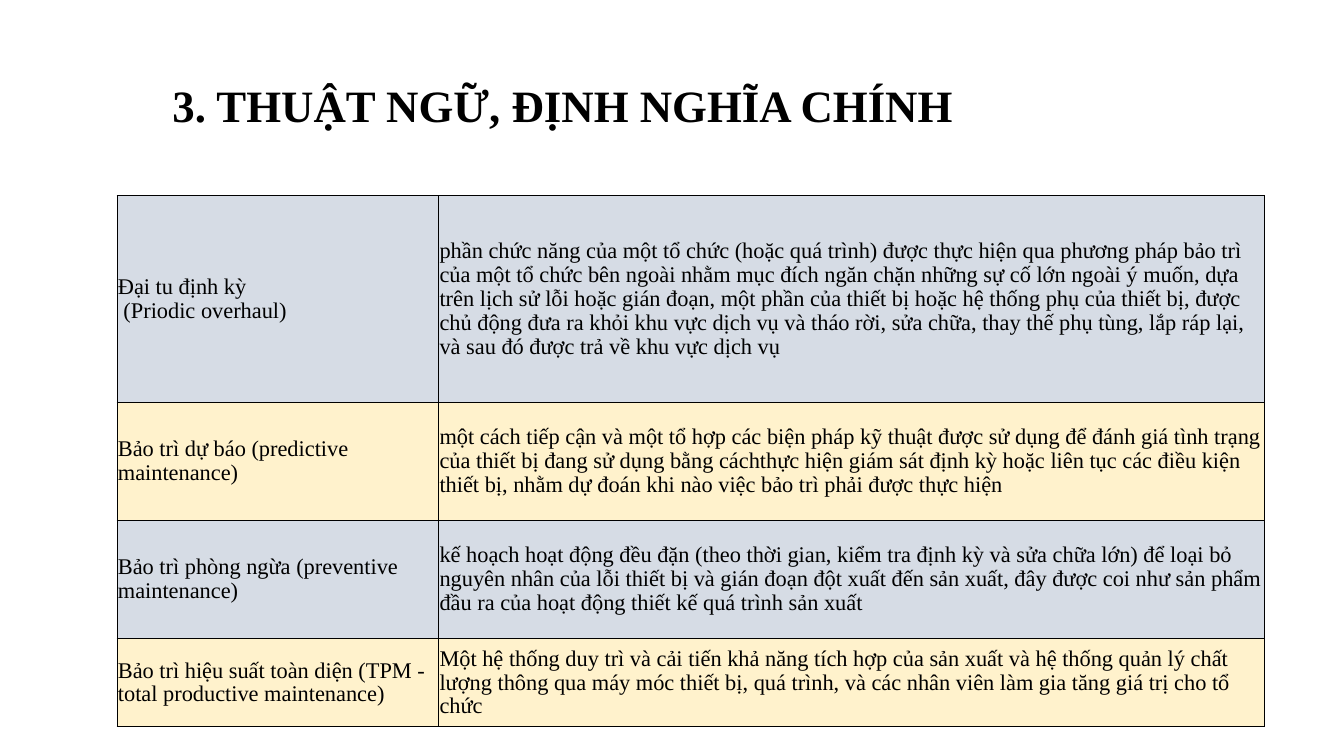
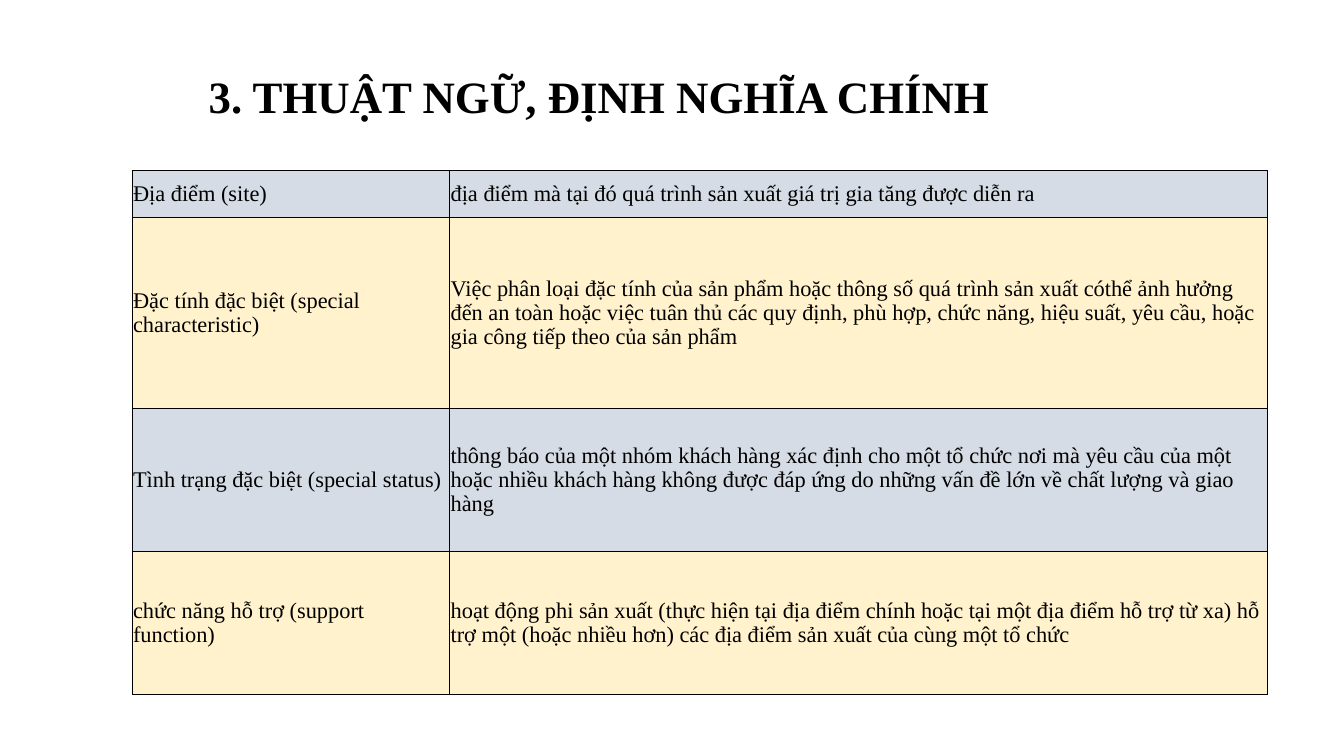
from dataclasses import dataclass

from lxml.etree import SubElement
from pptx import Presentation
from pptx.dml.color import RGBColor
from pptx.enum.text import MSO_ANCHOR, MSO_AUTO_SIZE, PP_ALIGN
from pptx.oxml.ns import qn
from pptx.util import Emu, Pt


@dataclass(frozen=True)
class Theme:
    font: str = "Times New Roman"
    ink: str = "000000"
    bands: tuple = ("D6DCE5", "FFF2CC")
    title_size: int = 32
    cell_size: int = 16
    line_spacing: float = 0.96
    border_width: float = 0.5


THEME = Theme()
EMU_PER_PX = 9144
TITLE = "3. THUẬT NGỮ, ĐỊNH NGHĨA CHÍNH"
TITLE_WIDTH, TITLE_HEIGHT = 1173, 64

GLOSSARIES = [
    {
        "title_at": (161, 72),
        "table_at": (116, 194),
        "columns": (319, 819),
        "rows": (205, 117, 117, 88),
        "terms": [
            ("Đại tu định kỳ\n (Priodic overhaul)",
             "phần chức năng của một tổ chức (hoặc quá trình) được thực hiện qua phương pháp "
             "bảo trì của một tổ chức bên ngoài nhằm mục đích ngăn chặn những sự cố lớn ngoài "
             "ý muốn, dựa trên lịch sử lỗi hoặc gián đoạn, một phần của thiết bị hoặc hệ thống "
             "phụ của thiết bị, được chủ động đưa ra khỏi khu vực dịch vụ và tháo rời, sửa "
             "chữa, thay thế phụ tùng, lắp ráp lại, và sau đó được trả về khu vực dịch vụ"),
            ("Bảo trì dự báo (predictive maintenance)",
             "một cách tiếp cận và một tổ hợp các biện pháp kỹ thuật được sử dụng để đánh giá "
             "tình trạng của thiết bị đang sử dụng bằng cáchthực hiện giám sát định kỳ hoặc "
             "liên tục các điều kiện thiết bị, nhằm dự đoán khi nào việc bảo trì phải được "
             "thực hiện"),
            ("Bảo trì phòng ngừa (preventive maintenance)",
             "kế hoạch hoạt động đều đặn (theo thời gian, kiểm tra định kỳ và sửa chữa lớn) để "
             "loại bỏ nguyên nhân của lỗi thiết bị và gián đoạn đột xuất đến sản xuất, đây "
             "được coi như sản phẩm đầu ra của hoạt động thiết kế quá trình sản xuất"),
            ("Bảo trì hiệu suất toàn diện (TPM - total productive maintenance)",
             "Một hệ thống duy trì và cải tiến khả năng tích hợp của sản xuất và hệ thống quản "
             "lý chất lượng thông qua máy móc thiết bị, quá trình, và các nhân viên làm gia "
             "tăng giá trị cho tổ chức"),
        ],
    },
    {
        "title_at": (197, 63),
        "table_at": (131, 169),
        "columns": (315, 811),
        "rows": (47, 189, 142, 142),
        "terms": [
            ("Địa điểm (site)",
             "địa điểm mà tại đó quá trình sản xuất giá trị gia tăng được diễn ra"),
            ("Đặc tính đặc biệt (special characteristic)",
             "Việc phân loại đặc tính của sản phẩm hoặc thông số quá trình sản xuất cóthể ảnh "
             "hưởng đến an toàn hoặc việc tuân thủ các quy định, phù hợp, chức năng, hiệu "
             "suất, yêu cầu, hoặc gia công tiếp theo của sản phẩm"),
            ("Tình trạng đặc biệt (special status)",
             "thông báo của một nhóm khách hàng xác định cho một tổ chức nơi mà yêu cầu của "
             "một hoặc nhiều khách hàng không được đáp ứng do những vấn đề lớn về chất lượng "
             "và giao hàng"),
            ("chức năng hỗ trợ (support function)",
             "hoạt động phi sản xuất (thực hiện tại địa điểm chính hoặc tại một địa điểm hỗ "
             "trợ từ xa) hỗ trợ một (hoặc nhiều hơn) các địa điểm sản xuất của cùng một tổ "
             "chức"),
        ],
    },
]


def px(length):
    return Emu(length * EMU_PER_PX)


def style_text(frame, size, bold=False, spacing=1.0):
    for paragraph in frame.paragraphs:
        paragraph.alignment = PP_ALIGN.LEFT
        paragraph.line_spacing = spacing
        paragraph.font.name = THEME.font
        paragraph.font.size = Pt(size)
        paragraph.font.bold = bold
        paragraph.font.color.rgb = RGBColor.from_string(THEME.ink)


deck = Presentation()
deck.slide_width, deck.slide_height = px(1333), px(750)
title_only = deck.slide_layouts[5]

for glossary in GLOSSARIES:
    slide = deck.slides.add_slide(title_only)

    heading = slide.shapes.title
    heading.left, heading.top = map(px, glossary["title_at"])
    heading.width, heading.height = px(TITLE_WIDTH), px(TITLE_HEIGHT)
    heading.text_frame.text = TITLE
    heading.text_frame.vertical_anchor = MSO_ANCHOR.TOP
    heading.text_frame.auto_size = MSO_AUTO_SIZE.SHAPE_TO_FIT_TEXT
    style_text(heading.text_frame, THEME.title_size, bold=True)

    columns, rows = glossary["columns"], glossary["rows"]
    left, top = glossary["table_at"]
    definitions = slide.shapes.add_table(
        len(rows), len(columns), px(left), px(top), px(sum(columns)), px(sum(rows))
    ).table
    definitions.first_row = False
    definitions.horz_banding = False
    for column, width in zip(definitions.columns, columns):
        column.width = px(width)

    for index, (row, height) in enumerate(zip(definitions.rows, rows)):
        row.height = px(height)
        band = THEME.bands[index % len(THEME.bands)]
        for cell, wording in zip(row.cells, glossary["terms"][index]):
            cell.text = wording
            cell.vertical_anchor = MSO_ANCHOR.MIDDLE
            cell.margin_left = cell.margin_right = cell.margin_top = px(1)
            cell.margin_bottom = 0
            style_text(cell.text_frame, THEME.cell_size, spacing=THEME.line_spacing)
            properties = cell._tc.get_or_add_tcPr()
            for edge in ("a:lnL", "a:lnR", "a:lnT", "a:lnB"):
                border = SubElement(properties, qn(edge), w=str(Pt(THEME.border_width)))
                SubElement(SubElement(border, qn("a:solidFill")), qn("a:srgbClr"), val=THEME.ink)
            cell.fill.solid()
            cell.fill.fore_color.rgb = RGBColor.from_string(band)

deck.save("out.pptx")
